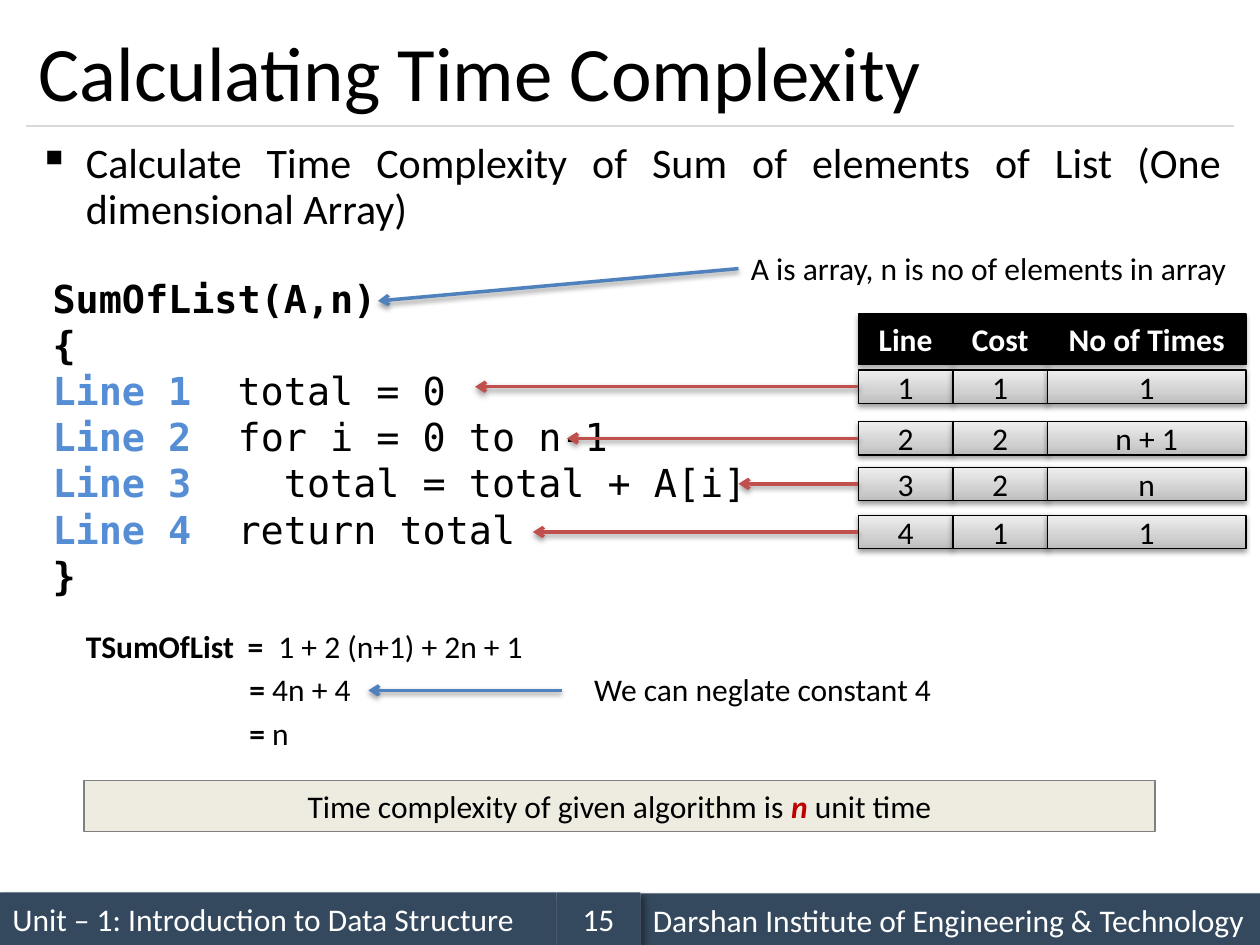
from lxml import etree
from pptx import Presentation
from pptx import util as u
from pptx.dml.color import RGBColor
from pptx.enum import shapes, text
from pptx.oxml import parse_xml
from pptx.oxml.ns import nsdecls, qn

Pt = u.Pt
color = RGBColor.from_string
LEFT, CENTER = text.PP_ALIGN.LEFT, text.PP_ALIGN.CENTER
TOP, MIDDLE = text.MSO_ANCHOR.TOP, text.MSO_ANCHOR.MIDDLE
BAR_SHADOW = (40, 4, 3, 45)
HEAD_SHADOW = (35, 3.1, 1.8, 90)
SOFT_SHADOW = (38, 3.1, 1.6, 90)


def set_shadow(shape, shadow=None):
    effects = etree.SubElement(shape._element.spPr, qn("a:effectLst"))
    if shadow:
        alpha, blur, distance, angle = shadow
        outer = etree.SubElement(
            effects, qn("a:outerShdw"), blurRad=str(Pt(blur)), dist=str(Pt(distance)),
            dir=str(angle * 60000), algn="t", rotWithShape="0")
        black = etree.SubElement(outer, qn("a:srgbClr"), val="000000")
        etree.SubElement(black, qn("a:alpha"), val=str(alpha * 1000))


def add_box(place, paragraphs, size=18, font="Calibri", ink="000000", align=LEFT,
            anchor=TOP, fill=None, line=None, shadow=None):
    place = [Pt(value) for value in place]
    if fill:
        shape = slide.shapes.add_shape(shapes.MSO_SHAPE.RECTANGLE, *place)
        if fill == "gradient":
            shape.fill.background()
            shape._element.spPr.replace(shape._element.spPr.find(qn("a:noFill")), parse_xml(GRADIENT))
        else:
            shape.fill.solid()
            shape.fill.fore_color.rgb = color(fill)
        if line:
            shape.line.color.rgb = color(line)
            shape.line.width = Pt(0.75)
        else:
            shape.line.fill.background()
        set_shadow(shape, shadow)
    else:
        shape = slide.shapes.add_textbox(*place)
    frame = shape.text_frame
    frame.word_wrap = True
    frame.vertical_anchor = anchor
    for index, runs in enumerate(paragraphs):
        paragraph = frame.paragraphs[0] if index == 0 else frame.add_paragraph()
        paragraph.alignment = align
        for content, bold, *accent in runs:
            run = paragraph.add_run()
            run.text = content
            run.font.bold = bold
            run.font.color.rgb = color(accent[0] if accent else ink)
        paragraph.font.size = Pt(size)
        paragraph.font.name = font
        for run in paragraph.runs:
            run.font.size = Pt(size)
            run.font.name = font
    return shape


GRADIENT = (
    f'<a:gradFill {nsdecls("a")} rotWithShape="1"><a:gsLst>'
    + "".join(f'<a:gs pos="{position}000"><a:srgbClr val="{shade}"/></a:gs>'
              for position, shade in ((0, "BDBDBD"), (35, "D1D1D1"), (100, "EEEEEE")))
    + '</a:gsLst><a:lin ang="16200000" scaled="0"/></a:gradFill>')

presentation = Presentation()
presentation.slide_width, presentation.slide_height = Pt(720), Pt(540)
slide = presentation.slides.add_slide(presentation.slide_layouts[6])

footers = [
    (0, 510, 318, "Unit – 1: Introduction to Data Structure", LEFT),
    (366, 510.5, 354, "Darshan Institute of Engineering & Technology", LEFT),
    (318, 510, 48, "15", CENTER),
]
for left, top, width, label, align in footers:
    add_box((left, top, width, 30), [[(label, False)]], ink="FFFFFF", align=align,
            anchor=MIDDLE, fill="34495E", shadow=BAR_SHADOW)

add_box((15, 9, 690, 63), [[("Calculating Time Complexity", False)]], size=44, anchor=MIDDLE)

task = add_box((15, 78, 690, 67), [[(
    "Calculate Time Complexity of Sum of elements of List (One dimensional Array)", False)]],
    size=24, align=text.PP_ALIGN.JUSTIFY)
paragraph = task.text_frame.paragraphs[0]
paragraph.line_spacing = 0.9
properties = paragraph._p.get_or_add_pPr()
properties.set("marL", str(Pt(27)))
properties.set("indent", str(Pt(-27)))
bullet = etree.Element(qn("a:buChar"), char="▪")
properties.find(qn("a:lnSpc")).addnext(bullet)

BLUE = "558ED5"
code = [
    [("SumOfList(A,n)", True)],
    [("{", True)],
    [("Line 1 ", True, BLUE), (" total = 0", False)],
    [("Line 2  ", True, BLUE), ("for i = 0 to n-1", False)],
    [("Line 3 ", True, BLUE), ("   total = total + A[i]", False)],
    [("Line 4 ", True, BLUE), (" return total", False)],
    [("}", True)],
]
add_box((23, 153.5, 432, 193.5), code, size=22, font="DejaVu Sans Mono")

add_box((422, 139, 294, 29), [[("A is array, n is no of elements in array", False)]])

columns = [(490.5, 54), (544.5, 54), (598.5, 113.5)]
for (left, width), heading in zip(columns, ("Line", "Cost", "No of Times")):
    add_box((left, 179.5, width, 29), [[(heading, True)]], ink="FFFFFF", align=CENTER,
            fill="000000", line="000000", shadow=HEAD_SHADOW)

arrows = [(422, 153.5, 216, 172, "4F81BD"), (321, 394.5, 210.5, 394.5, "4F81BD")]
rows = [
    (211.5, 271.5, ("1", "1", "1")),
    (241, 324, ("2", "2", "n + 1")),
    (267, 422, ("3", "2", "n")),
    (294.5, 304.5, ("4", "1", "1")),
]
for top, tip, values in rows:
    for (left, width), value in zip(columns, values):
        add_box((left, top, width, 19), [[(value, False)]], align=CENTER, anchor=MIDDLE,
                fill="gradient", line="000000", shadow=SOFT_SHADOW)
    arrows.append((columns[0][0], top + 9.5, tip, top + 9.5, "C0504D"))

total = add_box((42, 354.5, 282, 30), [[("TSumOfList\t=\t", True), ("1 + 2 (n+1) + 2n + 1", False)]])
properties = total.text_frame.paragraphs[0]._p.get_or_add_pPr()
tabs = etree.Element(qn("a:tabLst"))
properties.insert(0, tabs)
for stop in (92.5, 110):
    etree.SubElement(tabs, qn("a:tab"), pos=str(Pt(stop)), algn="l")
for top, result in ((379.5, " 4n + 4"), (404.5, " n")):
    add_box((135.5, top, 186, 29), [[("=", True), (result, False)]])
add_box((332.5, 379.5, 227.5, 29), [[("We can neglate constant 4", False)]])

conclusion = add_box((48, 446, 612, 29), [[
    ("Time complexity of given algorithm is ", False), ("n", True, "C00000"),
    (" unit time", False)]], align=CENTER, fill="EEECE1", line="808080")
conclusion.text_frame.paragraphs[0].runs[1].font.italic = True

lines = [(15, 72, 705, 72, "D9D9D9", 0.75, False)]
lines += [(*arrow, 2, True) for arrow in arrows]
for *ends, stroke, width, is_arrow in lines:
    connector = slide.shapes.add_connector(
        shapes.MSO_CONNECTOR.STRAIGHT, *[Pt(value) for value in ends])
    connector.line.color.rgb = color(stroke)
    connector.line.width = Pt(width)
    if is_arrow:
        etree.SubElement(connector.line._get_or_add_ln(), qn("a:tailEnd"), type="arrow")
    set_shadow(connector, SOFT_SHADOW if is_arrow else None)

presentation.save("out.pptx")
